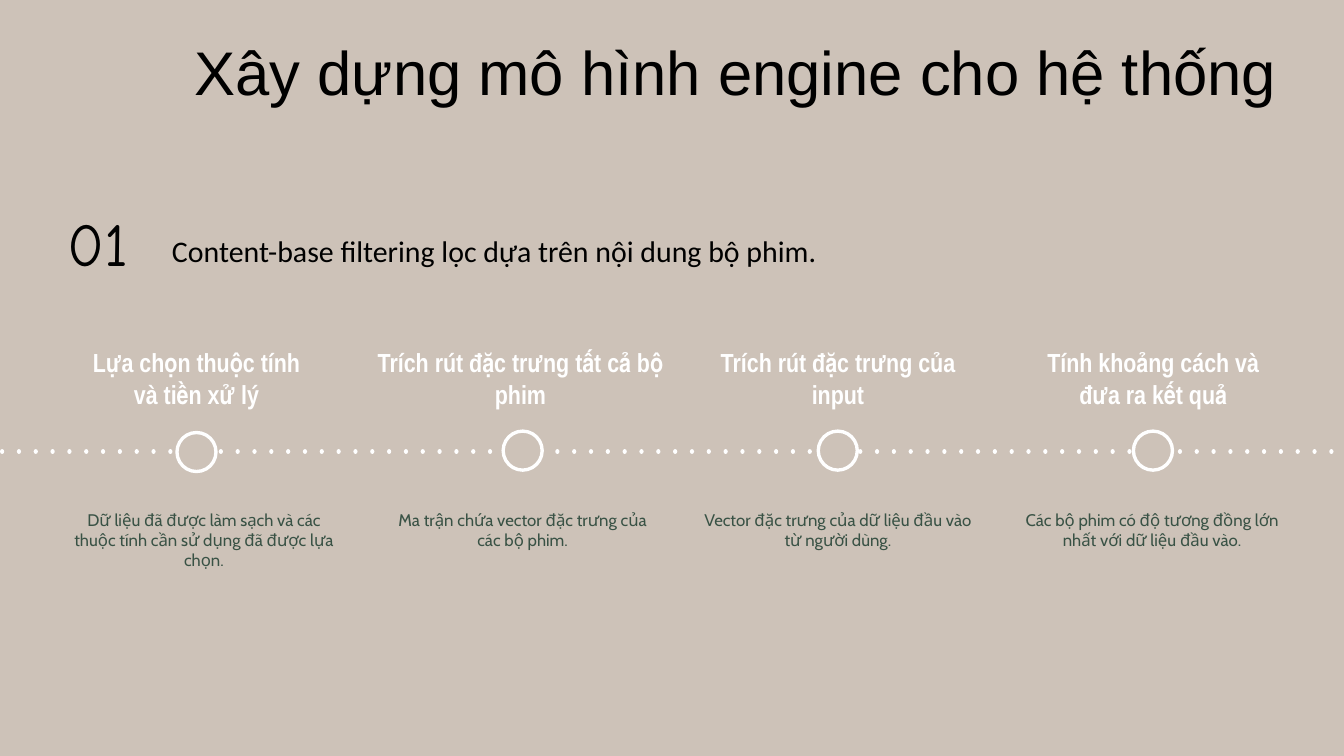
from dataclasses import dataclass

import pptx
import pptx.dml.color
import pptx.enum.shapes
import pptx.enum.text
import pptx.oxml.ns
import pptx.slide
import pptx.text.text
import pptx.util
from lxml import etree

Pt = pptx.util.Pt


@dataclass(frozen=True)
class TextStyle:
    font: str
    size: float
    color: str
    bold: bool = False
    line_spacing: float = 1.0


@dataclass(frozen=True)
class Theme:
    background: str = "CDC2B8"
    timeline: str = "FFFFFF"
    title: TextStyle = TextStyle("Arial", 66, "000000", line_spacing=1.2)
    number: TextStyle = TextStyle("Comic Neue", 65, "000000", line_spacing=1.2)
    subtitle: TextStyle = TextStyle("Calibri", 32, "000000", line_spacing=1.2)
    heading: TextStyle = TextStyle("Arial Narrow", 28, "FFFFFF", bold=True)
    caption: TextStyle = TextStyle("Cabin", 18, "395245")


@dataclass(frozen=True)
class Box:
    left: float
    top: float
    width: float
    height: float


@dataclass(frozen=True)
class Step:
    heading: str
    caption: str
    ring_center: float
    ring_middle: float
    heading_center: float
    heading_width: float
    caption_center: float
    caption_width: float


THEME = Theme()
SLIDE_WIDTH, SLIDE_HEIGHT = 1440, 810
TIMELINE_Y = 483.8
TIMELINE_START, TIMELINE_END = -15.8, 1473
RING_DIAMETER, RING_LINE = 41.8, 3.6
HEADING_TOP, HEADING_HEIGHT = 371.4, 67.7
CAPTION_TOP, CAPTION_HEIGHT = 546, 44

STEPS = [
    Step("Lựa chọn thuộc tính và tiền xử lý",
         "Dữ liệu đã được làm sạch và các thuộc tính cần sử dụng đã được lựa chọn.",
         210.5, 484.3, 210.5, 248.4, 218.5, 294.5),
    Step("Trích rút đặc trưng tất cả bộ phim",
         "Ma trận chứa vector đặc trưng của các bộ phim.",
         560, 482.8, 557.6, 310.3, 560, 266.4),
    Step("Trích rút đặc trưng của input",
         "Vector đặc trưng của dữ liệu đầu vào từ người dùng.",
         897.6, 482.8, 897.8, 265, 897.8, 286.6),
    Step("Tính khoảng cách và đưa ra kết quả",
         "Các bộ phim có độ tương đồng lớn nhất với dữ liệu đầu vào.",
         1235.3, 482.8, 1235.5, 265, 1234.4, 295.9),
]


def rgb(color: str) -> pptx.dml.color.RGBColor:
    return pptx.dml.color.RGBColor.from_string(color)


def write_text(frame: pptx.text.text.TextFrame, text: str, style: TextStyle) -> None:
    frame.word_wrap = True
    frame.auto_size = pptx.enum.text.MSO_AUTO_SIZE.NONE
    frame.vertical_anchor = pptx.enum.text.MSO_ANCHOR.TOP
    frame.margin_left = frame.margin_right = 0
    frame.margin_top = frame.margin_bottom = 0
    paragraph = frame.paragraphs[0]
    paragraph.alignment = pptx.enum.text.PP_ALIGN.CENTER
    paragraph.line_spacing = style.line_spacing
    run = paragraph.add_run()
    run.text = text
    run.font.name = style.font
    run.font.size = Pt(style.size)
    run.font.bold = style.bold
    run.font.color.rgb = rgb(style.color)


def add_title(slide: pptx.slide.Slide, box: Box, text: str) -> None:
    title = slide.shapes.title
    title.left, title.top = Pt(box.left), Pt(box.top)
    title.width, title.height = Pt(box.width), Pt(box.height)
    write_text(title.text_frame, text, THEME.title)


def add_label(slide: pptx.slide.Slide, box: Box, text: str, style: TextStyle) -> None:
    label = slide.shapes.add_textbox(
        Pt(box.left), Pt(box.top), Pt(box.width), Pt(box.height))
    write_text(label.text_frame, text, style)


def add_timeline(slide: pptx.slide.Slide) -> None:
    timeline = slide.shapes.add_connector(
        pptx.enum.shapes.MSO_CONNECTOR.STRAIGHT,
        Pt(TIMELINE_START), Pt(TIMELINE_Y), Pt(TIMELINE_END), Pt(TIMELINE_Y))
    timeline.line.color.rgb = rgb(THEME.timeline)
    timeline.line.width = Pt(4.5)
    outline = timeline.line._get_or_add_ln()
    outline.set("cap", "rnd")
    etree.SubElement(outline, pptx.oxml.ns.qn("a:prstDash"), val="dot")
    etree.SubElement(timeline._element.spPr, pptx.oxml.ns.qn("a:effectLst"))


def add_ring(slide: pptx.slide.Slide, center: float, middle: float) -> None:
    ring = slide.shapes.add_shape(
        pptx.enum.shapes.MSO_SHAPE.OVAL,
        Pt(center - RING_DIAMETER / 2), Pt(middle - RING_DIAMETER / 2),
        Pt(RING_DIAMETER), Pt(RING_DIAMETER))
    ring.shadow.inherit = False
    ring.fill.solid()
    ring.fill.fore_color.rgb = rgb(THEME.background)
    ring.line.color.rgb = rgb(THEME.timeline)
    ring.line.width = Pt(RING_LINE)


def add_step(slide: pptx.slide.Slide, step: Step) -> None:
    add_ring(slide, step.ring_center, step.ring_middle)
    heading_box = Box(step.heading_center - step.heading_width / 2, HEADING_TOP,
                      step.heading_width, HEADING_HEIGHT)
    add_label(slide, heading_box, step.heading, THEME.heading)
    caption_box = Box(step.caption_center - step.caption_width / 2, CAPTION_TOP,
                      step.caption_width, CAPTION_HEIGHT)
    add_label(slide, caption_box, step.caption, THEME.caption)


def main() -> None:
    deck = pptx.Presentation()
    deck.slide_width, deck.slide_height = Pt(SLIDE_WIDTH), Pt(SLIDE_HEIGHT)
    title_only = deck.slide_layouts[5]
    slide = deck.slides.add_slide(title_only)
    slide.background.fill.solid()
    slide.background.fill.fore_color.rgb = rgb(THEME.background)

    add_title(slide, Box(195, 20, 1186.6, 95.8), "Xây dựng mô hình engine cho hệ thống")
    add_timeline(slide)
    for step in STEPS:
        add_step(slide, step)
    add_label(slide, Box(94.3, 242, 871.2, 46.8),
              "Content-base filtering lọc dựa trên nội dung bộ phim.", THEME.subtitle)
    add_label(slide, Box(66.2, 205.2, 77, 94.3), "01", THEME.number)
    deck.save("out.pptx")


if __name__ == "__main__":
    main()
